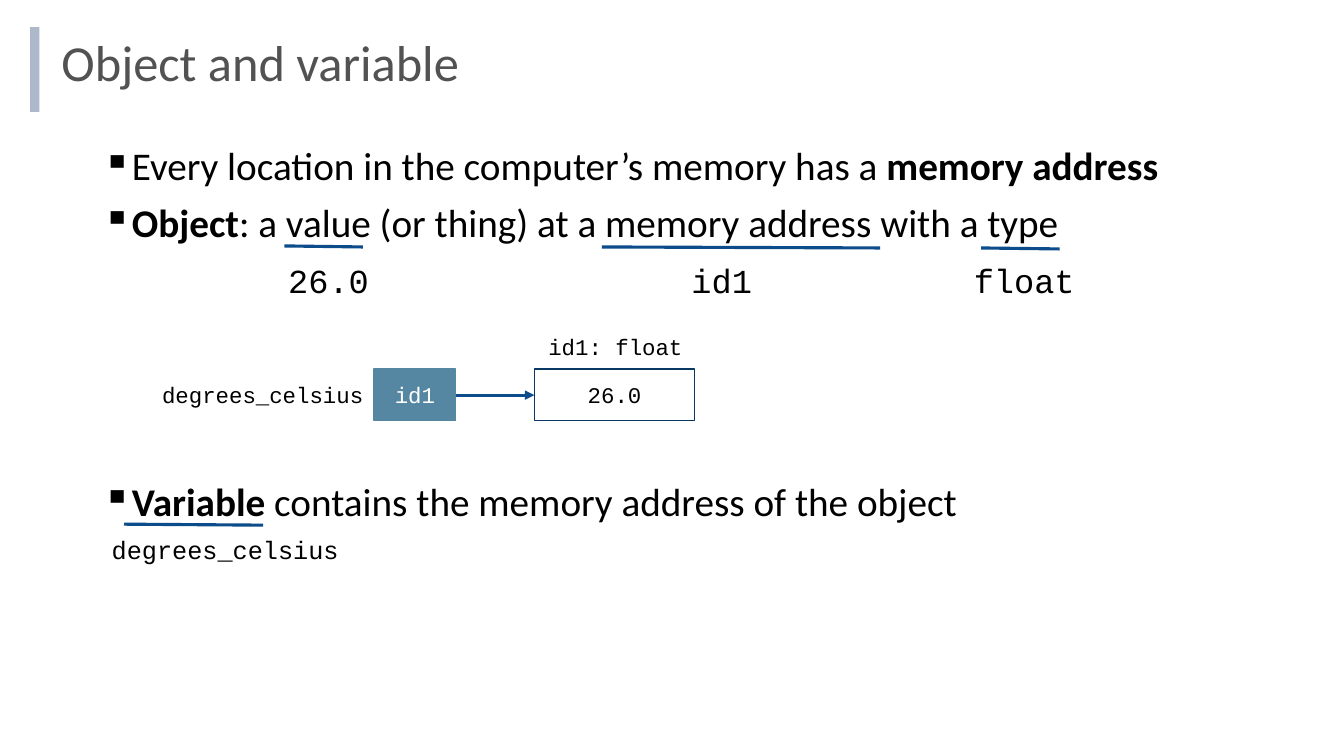
"""Build the slide on objects and variables in memory."""
from dataclasses import dataclass

from lxml import etree
from pptx import Presentation
from pptx.dml.color import RGBColor
from pptx.enum.shapes import MSO_CONNECTOR, MSO_SHAPE
from pptx.enum.text import MSO_ANCHOR, MSO_AUTO_SIZE, PP_ALIGN
from pptx.oxml.ns import qn
from pptx.util import Pt

PX = 9144
RECT = MSO_SHAPE.RECTANGLE
STRAIGHT = MSO_CONNECTOR.STRAIGHT
MIDDLE = MSO_ANCHOR.MIDDLE
TOP = MSO_ANCHOR.TOP
LEFT = PP_ALIGN.LEFT
CENTER = PP_ALIGN.CENTER
FIXED = MSO_AUTO_SIZE.NONE
TITLE_ONLY = 5


@dataclass(frozen=True)
class Theme:
    text_font: str = "Calibri"
    code_font: str = "Courier New"
    title: str = "525252"
    text: str = "000000"
    light: str = "FFFFFF"
    bar: str = "ADB9CA"
    variable: str = "5587A2"
    object_edge: str = "093866"
    line: str = "0C4C8A"
    title_size: int = 36
    body_size: int = 28
    example_size: int = 24
    caption_size: int = 18
    diagram_size: int = 16
    line_width: float = 2.25
    edge_width: float = 1
    line_spacing: float = 0.9
    space_before: int = 10


THEME = Theme()


@dataclass(frozen=True)
class Box:
    x: int
    y: int
    w: int
    h: int
    text: str = ""
    color: str = THEME.text
    fill: str | None = None
    edge: str | None = None


@dataclass(frozen=True)
class Label:
    x: int
    y: int
    w: int
    h: int
    text: str
    size: int


@dataclass(frozen=True)
class Line:
    x1: int
    y1: int
    x2: int
    y2: int
    arrow: bool = False


@dataclass(frozen=True)
class Bullet:
    runs: tuple[tuple[str, bool], ...]
    space_before: int = THEME.space_before


BOXES = (
    Box(30, 27, 9, 84, fill=THEME.bar),
    Box(371, 366, 81, 51, "id1", THEME.light, THEME.variable, THEME.variable),
    Box(530, 366, 159, 51, "26.0", edge=THEME.object_edge),
)
LABELS = (
    Label(534, 326, 155, 37, "id1: float", THEME.diagram_size),
    Label(151, 373, 223, 37, "degrees_celsius", THEME.diagram_size),
    Label(101, 525, 246, 40, "degrees_celsius", THEME.caption_size),
)
LINES = (
    Line(452, 392, 530, 392, arrow=True),
    Line(597, 245, 873, 246),
    Line(282, 244, 360, 245),
    Line(973, 246, 1051, 247),
    Line(123, 520, 261, 521),
)
INTRO = (
    Bullet((("Every location in the computer’s memory has a ", False), ("memory address", True))),
    Bullet((("Object", True), (": a value (or thing) at a memory address with a type", False))),
)
EXAMPLES = {"26.0": 184, "id1": 584, "float": 864}
VARIABLE = Bullet((("Variable", True), (" contains the memory address of the object", False)), 129)
INDENT = 25


def set_font(font, name: str, size: int, color: str) -> None:
    """Set the face, size and colour of a font."""
    font.name = name
    font.size = Pt(size)
    font.color.rgb = RGBColor.from_string(color)


def add_box(slide, box: Box) -> None:
    """Draw a rectangle with optional fill, edge and centred code."""
    s = slide.shapes.add_shape(RECT, box.x * PX, box.y * PX, box.w * PX, box.h * PX)
    s.shadow.inherit = False
    if box.fill:
        s.fill.solid()
        s.fill.fore_color.rgb = RGBColor.from_string(box.fill)
    else:
        s.fill.background()
    if box.edge:
        s.line.color.rgb = RGBColor.from_string(box.edge)
        s.line.width = Pt(THEME.edge_width)
    else:
        s.line.fill.background()
    if box.text:
        s.text_frame.vertical_anchor = MIDDLE
        p = s.text_frame.paragraphs[0]
        p.text = box.text
        p.alignment = CENTER
        set_font(p.font, THEME.code_font, THEME.diagram_size, box.color)


def add_label(slide, label: Label) -> None:
    """Place a single line of code."""
    s = slide.shapes.add_textbox(label.x * PX, label.y * PX, label.w * PX, label.h * PX)
    s.text_frame.word_wrap = False
    p = s.text_frame.paragraphs[0]
    p.text = label.text
    set_font(p.font, THEME.code_font, label.size, THEME.text)


def add_line(slide, line: Line) -> None:
    """Draw an underline or an arrow."""
    c = slide.shapes.add_connector(STRAIGHT, line.x1 * PX, line.y1 * PX, line.x2 * PX, line.y2 * PX)
    c.line.color.rgb = RGBColor.from_string(THEME.line)
    c.line.width = Pt(THEME.line_width)
    if line.arrow:
        etree.SubElement(c.line._get_or_add_ln(), qn("a:tailEnd"), type="triangle")
    etree.SubElement(c._element.spPr, qn("a:effectLst"))


def format_paragraph(p, space_before: int = THEME.space_before) -> None:
    """Apply the body spacing and font to a paragraph."""
    p.line_spacing = THEME.line_spacing
    p.space_before = Pt(space_before)
    set_font(p.font, THEME.text_font, THEME.body_size, THEME.text)


def write_bullet(p, bullet: Bullet) -> None:
    """Write a bulleted paragraph with bold terms."""
    format_paragraph(p, bullet.space_before)
    pPr = p._p.get_or_add_pPr()
    pPr.set("marL", str(INDENT * PX))
    pPr.set("indent", str(-INDENT * PX))
    pPr.insert_element_before(
        pPr.makeelement(qn("a:buChar"), {"char": "▪"}), "a:tabLst", "a:defRPr"
    )
    for text, bold in bullet.runs:
        r = p.add_run()
        r.text = text
        r.font.bold = bold


def write_examples(p) -> None:
    """Write the example values at tab stops below their terms."""
    format_paragraph(p)
    pPr = p._p.get_or_add_pPr()
    tabs = pPr.makeelement(qn("a:tabLst"), {})
    pPr.insert_element_before(tabs, "a:defRPr")
    for text, x in EXAMPLES.items():
        etree.SubElement(tabs, qn("a:tab"), pos=str(x * PX), algn="l")
        p.add_run().text = "\t"
        r = p.add_run()
        r.text = text
        set_font(r.font, THEME.code_font, THEME.example_size, THEME.text)


def add_title(slide, text: str) -> None:
    """Move and format the title placeholder."""
    s = slide.shapes.title
    s.left, s.top, s.width, s.height = 51 * PX, 40 * PX, 1150 * PX, 50 * PX
    tf = s.text_frame
    tf.text = text
    tf.auto_size = FIXED
    tf.vertical_anchor = MIDDLE
    p = tf.paragraphs[0]
    p.alignment = LEFT
    p.line_spacing = THEME.line_spacing
    set_font(p.font, THEME.text_font, THEME.title_size, THEME.title)


def add_body(slide) -> None:
    """Place the statements and their examples."""
    tf = slide.shapes.add_textbox(92 * PX, 141 * PX, 1150 * PX, 426 * PX).text_frame
    tf.word_wrap = True
    tf.vertical_anchor = TOP
    write_bullet(tf.paragraphs[0], INTRO[0])
    write_bullet(tf.add_paragraph(), INTRO[1])
    write_examples(tf.add_paragraph())
    write_bullet(tf.add_paragraph(), VARIABLE)


def main() -> None:
    """Build and save the slide."""
    prs = Presentation()
    prs.slide_width, prs.slide_height = 1333 * PX, 750 * PX
    slide = prs.slides.add_slide(prs.slide_layouts[TITLE_ONLY])
    add_title(slide, "Object and variable")
    add_body(slide)
    for box in BOXES:
        add_box(slide, box)
    for label in LABELS:
        add_label(slide, label)
    for line in LINES:
        add_line(slide, line)
    prs.save("out.pptx")


if __name__ == "__main__":
    main()
